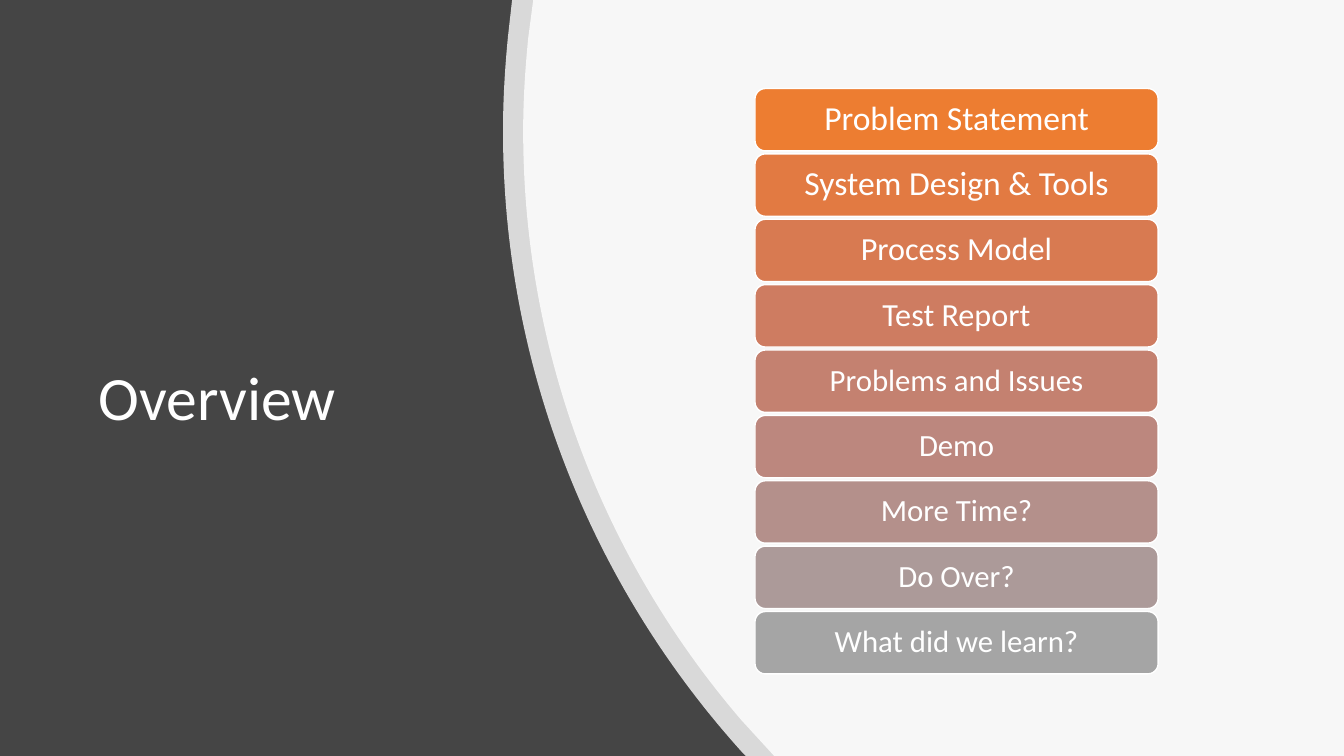
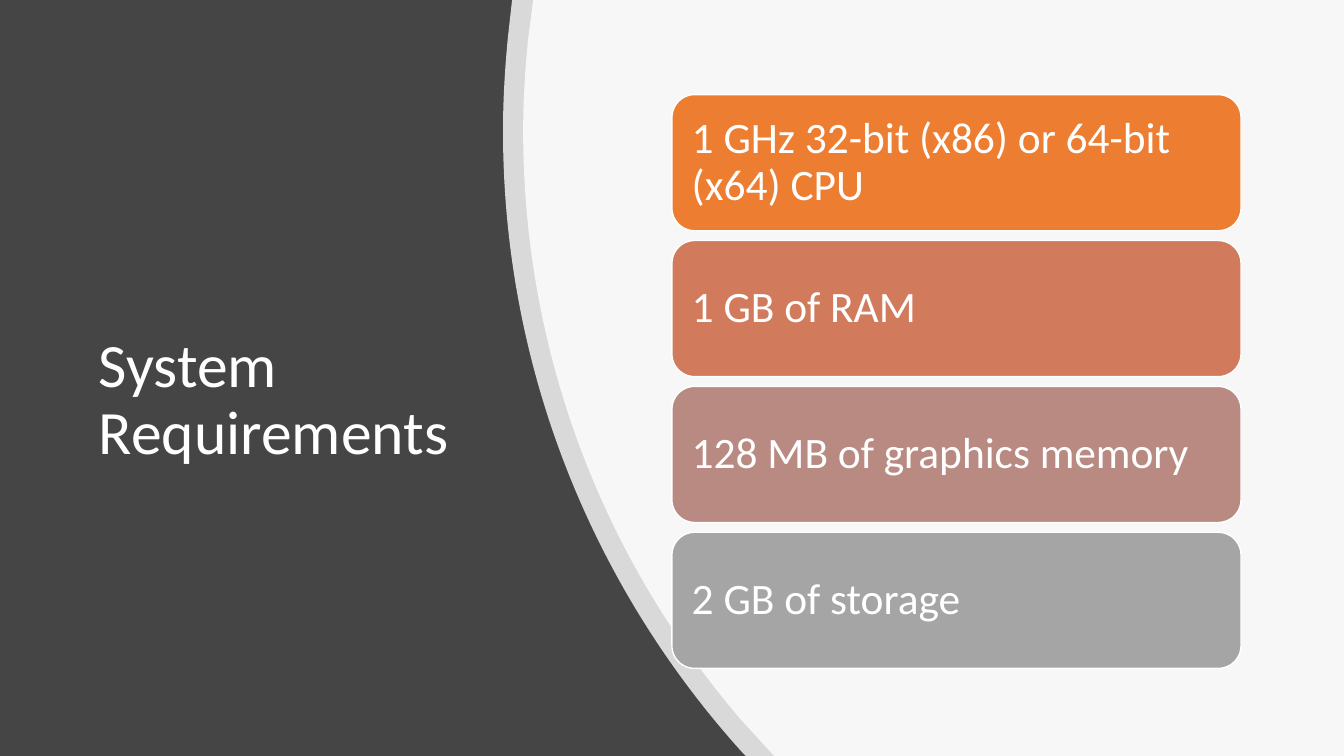
from lxml.etree import SubElement
from pptx import Presentation
from pptx.dml.color import RGBColor
from pptx.enum.shapes import MSO_SHAPE as Preset
from pptx.enum.text import MSO_ANCHOR as Anchor, MSO_AUTO_SIZE as AutoSize, PP_ALIGN as Align
from pptx.oxml.ns import qn
from pptx.util import Pt

WIDTH, HEIGHT = 960, 540
DARK, WHITE = "454545", "FFFFFF"
FONT = "Calibri"
PANEL_OPACITY = 80

# Each panel: where its edge meets the top and the bottom, then the curved
# edge between them as two Bezier curves of three points each.
PANELS = [
    {"top": 365.8, "bottom": 532.8, "curve_start": (529.9, 537.1), "curves": [
        (424.1, 419.8), (359.3, 264.2), (359.3, 93.6),
        (359.3, 70.6), (360.7, 48.2), (362.9, 25.9)]},
    {"top": 380.9, "bottom": 553, "curve_start": (529.9, 514.8), "curves": [
        (432.7, 401.8), (373.7, 254.9), (373.7, 93.6),
        (373.7, 71.3), (375.1, 49.7), (377.3, 27.4)]},
]

SLIDES = [
    {"title": "Overview", "left": 539.3, "top": 63.2, "width": 288, "height": 44.6,
     "pitch": 46.7, "inset": 7.2, "align": Align.CENTER, "items": [
         ("Problem Statement", "ED7D31", 24),
         ("System Design & Tools", "E27A42", 24),
         ("Process Model", "D87A51", 23),
         ("Test Report", "CE7C61", 23),
         ("Problems and Issues", "C48170", 22),
         ("Demo", "BC877E", 22),
         ("More Time?", "B4908B", 22),
         ("Do Over?", "AC9A99", 22),
         ("What did we learn?", "A5A5A5", 22)]},
    {"title": "System Requirements", "left": 480, "top": 67.6, "width": 406.5, "height": 97.2,
     "pitch": 104.2, "inset": 9.4, "align": Align.LEFT, "items": [
         ("1 GHz 32-bit (x86) or 64-bit (x64) CPU", "ED7D31", 31),
         ("1 GB of RAM", "D17B5C", 31),
         ("128 MB of graphics memory", "B98A82", 31),
         ("2 GB of storage", "A5A5A5", 31)]},
]


def paint(fill, color):
    fill.solid()
    fill.fore_color.rgb = RGBColor.from_string(color)


def write(shape, text, size, align, inset):
    """Put one white, vertically centred paragraph in the shape."""
    frame = shape.text_frame
    frame.text = text
    settings = {"word_wrap": True, "auto_size": AutoSize.NONE,
                "vertical_anchor": Anchor.MIDDLE,
                "margin_left": Pt(inset), "margin_right": Pt(inset),
                "margin_top": Pt(3.6), "margin_bottom": Pt(3.6)}
    for name, value in settings.items():
        setattr(frame, name, value)
    paragraph = frame.paragraphs[0]
    paragraph.alignment = align
    paragraph.line_spacing = 0.9
    font = paragraph.runs[0].font
    font.name, font.size = FONT, Pt(size)
    paint(font.fill, WHITE)


presentation = Presentation()
presentation.slide_width, presentation.slide_height = Pt(WIDTH), Pt(HEIGHT)
paint(presentation.slide_master.background.fill, DARK)
layout = presentation.slide_layouts.get_by_name("Title Only")
title_box = {"left": 63.4, "top": 110, "width": 282.2, "height": 352.8}
for name, value in title_box.items():
    setattr(layout.placeholders[0], name, Pt(value))

for content in SLIDES:
    slide = presentation.slides.add_slide(layout)
    write(slide.shapes.title, content["title"], 44, Align.LEFT, 7.2)

    for panel in PANELS:
        corners = [(WIDTH, 0), (WIDTH, HEIGHT), (panel["bottom"], HEIGHT), panel["curve_start"]]
        builder = slide.shapes.build_freeform(Pt(panel["top"]), 0)
        builder.add_line_segments(
            [(Pt(x), Pt(y)) for x, y in corners + panel["curves"]], close=True)
        shape = builder.convert_to_shape()
        shape.shadow.inherit = False
        shape.line.fill.background()
        paint(shape.fill, WHITE)
        color = next(shape.element.spPr.iter(qn("a:srgbClr")))
        SubElement(color, qn("a:alpha"), val=str(PANEL_OPACITY * 1000))

        # Every three segments after the corners become one Bezier curve.
        segments = list(shape.element.iter(qn("a:lnTo")))[len(corners):]
        for index in range(0, len(segments), 3):
            curve = segments[index]
            curve.tag = qn("a:cubicBezTo")
            for segment in segments[index + 1:index + 3]:
                curve.append(segment[0])
                segment.getparent().remove(segment)

    for index, (text, color, size) in enumerate(content["items"]):
        top = content["top"] + index * content["pitch"]
        box = slide.shapes.add_shape(
            Preset.ROUNDED_RECTANGLE, Pt(content["left"]), Pt(top),
            Pt(content["width"]), Pt(content["height"]))
        box.shadow.inherit = False
        paint(box.fill, color)
        paint(box.line.fill, WHITE)
        box.line.width = Pt(1)
        write(box, text, size, content["align"], content["inset"])

presentation.save("out.pptx")
